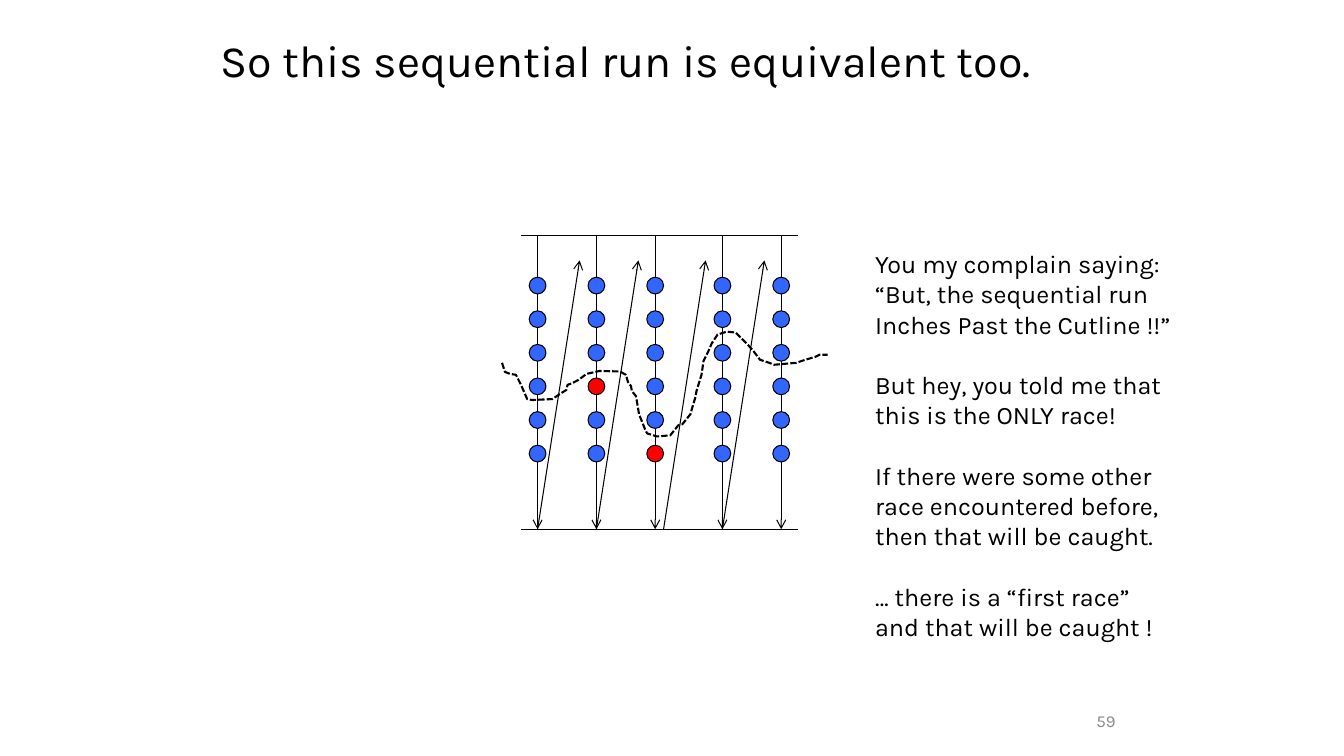
"""Build the slide on an equivalent sequential run."""
from dataclasses import dataclass

from lxml import etree
from pptx import Presentation
from pptx.dml.color import RGBColor
from pptx.enum.dml import MSO_LINE
from pptx.enum.shapes import MSO_CONNECTOR, MSO_SHAPE
from pptx.enum.text import MSO_ANCHOR, MSO_AUTO_SIZE, PP_ALIGN
from pptx.oxml.ns import qn
from pptx.util import Pt

STRAIGHT = MSO_CONNECTOR.STRAIGHT
OVAL = MSO_SHAPE.OVAL
DASH = MSO_LINE.SQUARE_DOT
MIDDLE = MSO_ANCHOR.MIDDLE
LEFT, RIGHT = PP_ALIGN.LEFT, PP_ALIGN.RIGHT
FIXED, GROW = MSO_AUTO_SIZE.NONE, MSO_AUTO_SIZE.SHAPE_TO_FIT_TEXT

FONT = "Karla"
COLORS = {"ink": "000000", "event": "3366FF", "race": "FF0000", "page": "898989"}
TOP, BASE = 168, 378
DOT, STEP, FIRST, COUNT = 12, 24, 198, 6
RISE, TIP = 30, 186

NOTES = [
    ["You my complain saying:", "“But, the sequential run", "Inches Past the Cutline !!”"],
    ["But hey, you told me that", "this is the ONLY race!"],
    ["If there were some other", "race encountered before,", "then that will be caught."],
    ["… there is a “first race”", "and that will be caught !"],
]

CUT = [
    (358.6, 259.2), (360.7, 265.7), (364.3, 267.1), (368.6, 267.8), (372.2, 275),
    (376.6, 285.1), (380.2, 285.8), (394.6, 285.1), (401, 280.8), (404.6, 278.6),
    (405.4, 275), (409, 273.6), (413.3, 271.4), (419, 267.1), (428.4, 265),
    (442.8, 265.4), (447.1, 267.8), (448.6, 272.9), (450.7, 275.8), (451.4, 279.4),
    (454.3, 283), (456.5, 295.9), (460.8, 306.7), (462.2, 309.6), (466.6, 311),
    (469.4, 311.8), (478.8, 311), (484.6, 303.8), (487.4, 303.1), (493.2, 295.9),
    (494.6, 290.9), (496.8, 283.7), (497.5, 279.4), (501.1, 267.8), (502.6, 257.8),
    (506.9, 249.1), (508.3, 245.5), (512.6, 239), (519.1, 236.9), (525.6, 237.6),
    (533.5, 245.5), (538.6, 251.3), (542.9, 257), (549.4, 259.2), (553, 260.6),
    (568.8, 259.2), (575.3, 257), (582.5, 254.9), (585.4, 253.4), (591.1, 253.4),
]


@dataclass
class Thread:
    """A column of events, the row of its race and the start of its return."""
    x: float
    race: int | None = None
    back: float | None = None


THREADS = [Thread(384, back=384), Thread(426, race=3, back=426),
           Thread(468, race=5, back=474), Thread(516, back=516), Thread(558)]


def color(name: str) -> RGBColor:
    """Return a named colour."""
    return RGBColor.from_string(COLORS[name])


def add_run(para, text: str, size: float, shade: str = "ink") -> None:
    """Add one formatted run to a paragraph."""
    run = para.add_run()
    run.text = text
    run.font.name = FONT
    run.font.size = Pt(size)
    run.font.color.rgb = color(shade)


def add_line(shapes, start: tuple, end: tuple, arrow: bool = False) -> None:
    """Draw a thin straight line, with an arrowhead if asked."""
    line = shapes.add_connector(STRAIGHT, *map(Pt, start + end))
    line.line.color.rgb = color("ink")
    line.line.width = Pt(0.75)
    props = line.element.spPr
    if arrow:
        etree.SubElement(props.find(qn("a:ln")), qn("a:tailEnd"), type="arrow")
    etree.SubElement(props, qn("a:effectLst"))


def add_thread(shapes, thread: Thread) -> None:
    """Draw a thread as a group of a time arrow and its events."""
    group = shapes.add_group_shape().shapes
    add_line(group, (thread.x, TOP), (thread.x, BASE), arrow=True)
    for row in range(COUNT):
        dot = group.add_shape(OVAL, Pt(thread.x - DOT / 2), Pt(FIRST + row * STEP),
                              Pt(DOT), Pt(DOT))
        dot.shadow.inherit = False
        dot.fill.solid()
        dot.fill.fore_color.rgb = color("race" if row == thread.race else "event")
        dot.line.color.rgb = color("ink")
        dot.line.width = Pt(0.75)


def add_cut(shapes) -> None:
    """Draw the dashed cutline."""
    start, *rest = [(Pt(x), Pt(y)) for x, y in CUT]
    pen = shapes.build_freeform(*start)
    pen.add_line_segments(rest, close=False)
    cut = pen.convert_to_shape()
    cut.shadow.inherit = False
    cut.fill.background()
    cut.line.color.rgb = color("ink")
    cut.line.width = Pt(1.5)
    cut.line.dash_style = DASH


def add_title(slide) -> None:
    """Place and fill the title."""
    title = slide.shapes.title
    title.left, title.top, title.width, title.height = map(Pt, (150, 0, 684, 90))
    frame = title.text_frame
    frame.auto_size = FIXED
    frame.vertical_anchor = MIDDLE
    para = frame.paragraphs[0]
    para.alignment = LEFT
    para.line_spacing = 0.9
    add_run(para, "So this sequential run is equivalent too.", 32)


def add_notes(shapes) -> None:
    """Add the remarks beside the diagram."""
    frame = shapes.add_textbox(Pt(618), Pt(174), Pt(229.7), Pt(290.9)).text_frame
    frame.word_wrap = False
    frame.auto_size = GROW
    para = frame.paragraphs[0]
    for part, lines in enumerate(NOTES):
        for row, text in enumerate(lines):
            if part or row:
                para = frame.add_paragraph()
            if part and not row:
                para.space_before = Pt(21.6)
            add_run(para, text, 18)


def add_page(shapes) -> None:
    """Add the page number."""
    frame = shapes.add_textbox(Pt(636), Pt(500.6), Pt(168), Pt(28.8)).text_frame
    frame.word_wrap = True
    frame.vertical_anchor = MIDDLE
    para = frame.paragraphs[0]
    para.alignment = RIGHT
    add_run(para, "59", 12, "page")


def main() -> None:
    """Build and save the deck."""
    deck = Presentation()
    deck.slide_width, deck.slide_height = Pt(960), Pt(540)
    slide = deck.slides.add_slide(deck.slide_layouts[5])
    shapes = slide.shapes
    add_title(slide)
    add_page(shapes)
    for y in (TOP, BASE):
        add_line(shapes, (372, y), (570, y))
    for thread in THREADS:
        add_thread(shapes, thread)
    for thread in THREADS:
        if thread.back is not None:
            add_line(shapes, (thread.back, BASE), (thread.back + RISE, TIP), arrow=True)
    add_cut(shapes)
    add_notes(shapes)
    deck.save("out.pptx")


if __name__ == "__main__":
    main()
